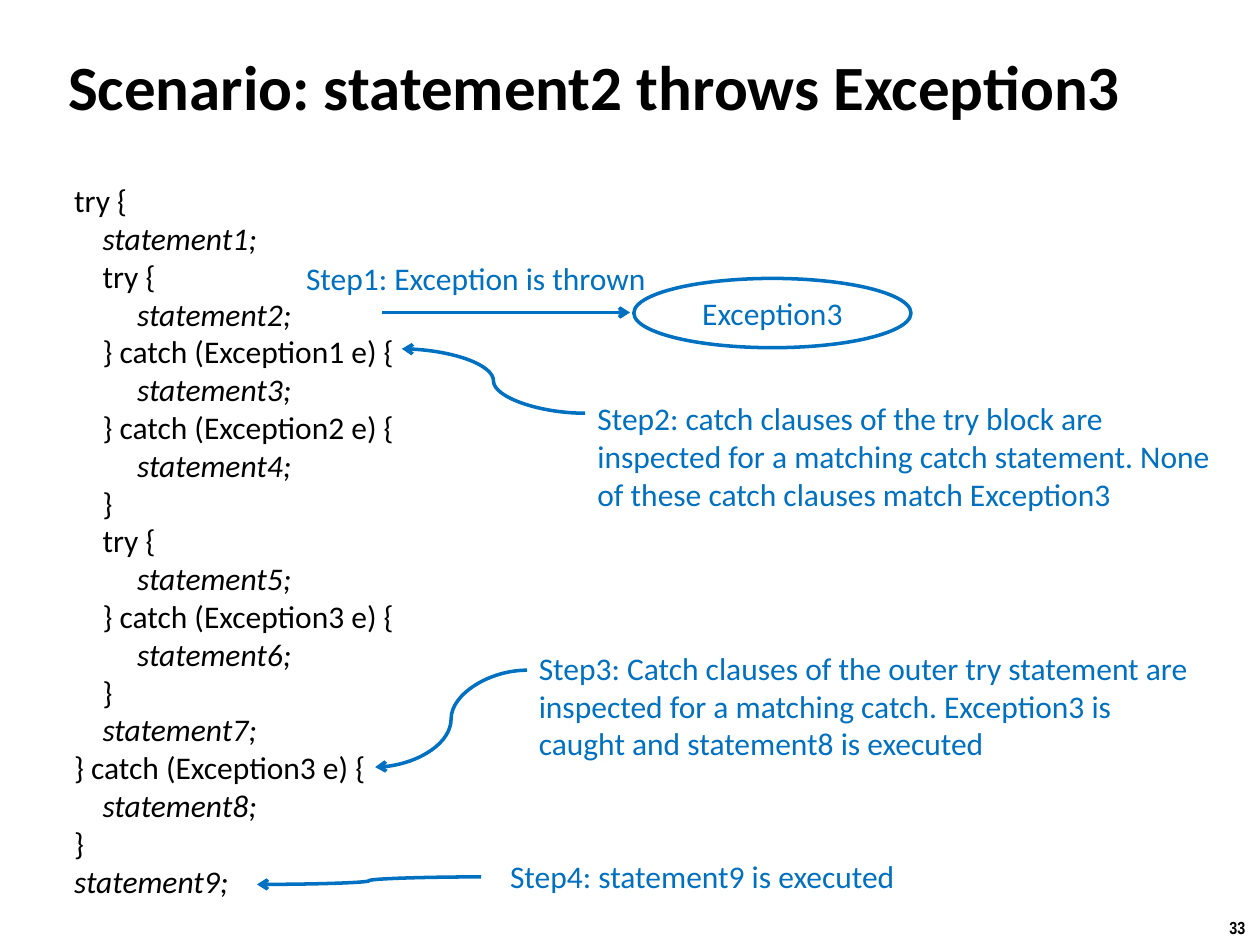
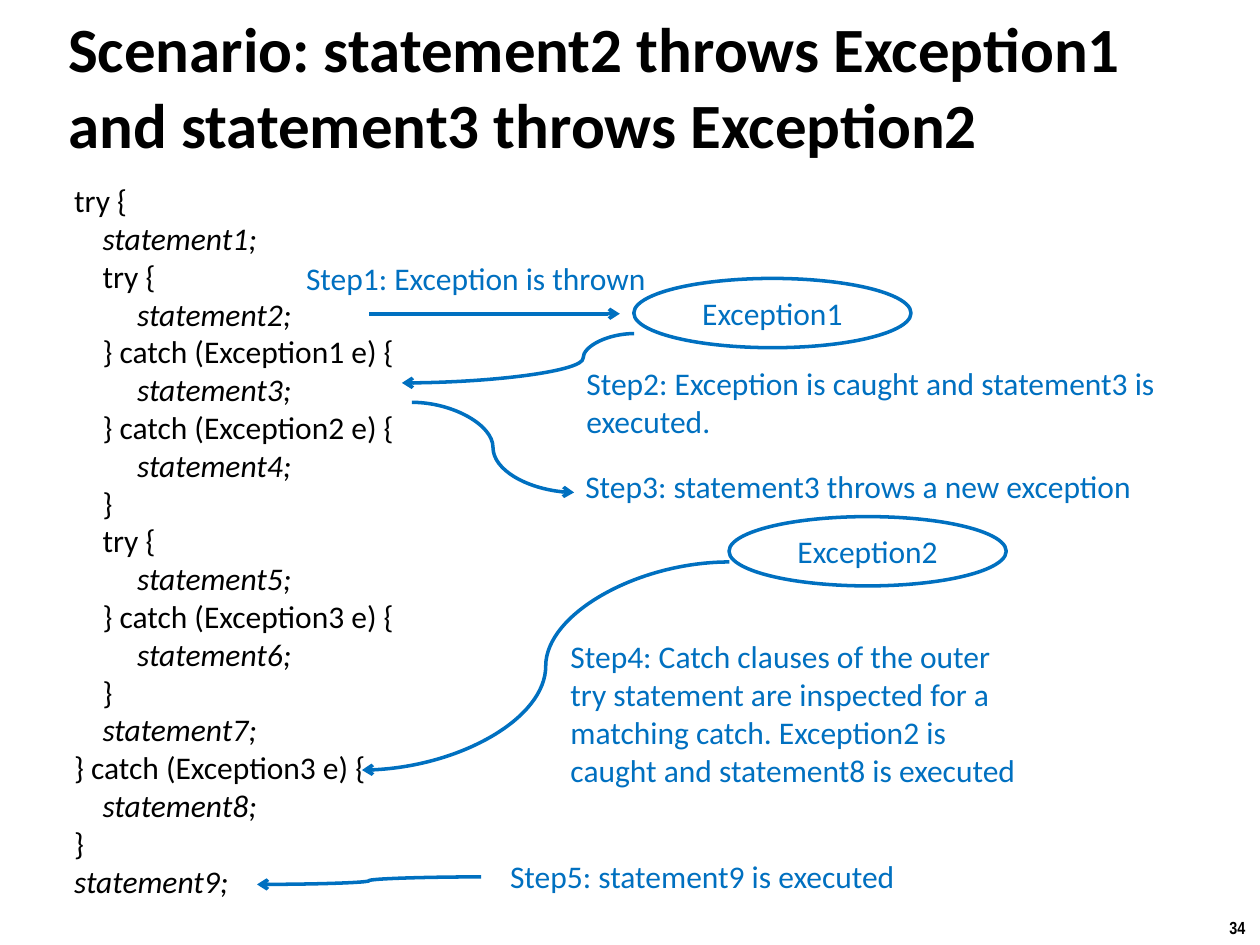
from lxml.etree import SubElement
from pptx import Presentation
from pptx.dml.color import RGBColor
from pptx.enum.shapes import MSO_CONNECTOR, MSO_SHAPE
from pptx.enum.text import MSO_ANCHOR, PP_ALIGN
from pptx.oxml.ns import qn
from pptx.util import Pt

COLORS = {"ink": "000000", "step": "0070C0"}
CODE = """try {
    statement1;
    try {
\tstatement2;
    } catch (Exception1 e) {
\tstatement3;
    } catch (Exception2 e) {
\tstatement4;
    }
    try {
\tstatement5;
    } catch (Exception3 e) {
\tstatement6;
    }
    statement7;
} catch (Exception3 e) {
    statement8;
}
statement9;"""
THROWN = ("Step1: Exception is thrown", 167.8, 144.7, 214.6, 29, False)
OUTER_CATCH = ("Catch clauses of the outer try statement are inspected for a matching catch. "
               "{} is caught and statement8 is executed")
LAST_ARROW = (275, 501.1, 146.9, 505.4, 0.5)

SCENARIOS = [
    {
        "number": "33",
        "title": "Scenario: statement2 throws Exception3",
        "exceptions": [("Exception3", 362.2, 159.1)],
        "throw": (218.2, 178.6, 360),
        "steps": [
            THROWN,
            ("Step2: catch clauses of the try block are inspected for a matching catch "
             "statement. None of these catch clauses match Exception3", 334.3, 224.6, 373.7, 72.7, True),
            ("Step3: " + OUTER_CATCH.format("Exception3"), 300.8, 367.2, 388, 72.7, True),
            ("Step4: statement9 is executed", 284.4, 486.4, 388, 29, True),
        ],
        "curves": [(334.4, 236.2, 229.7, 199.4, 0.5), (301.2, 383, 214.4, 438.4, 0.5), LAST_ARROW],
    },
    {
        "number": "34",
        "title": "Scenario: statement2 throws Exception1 and statement3 throws Exception2",
        "exceptions": [("Exception1", 362.2, 159.1), ("Exception2", 416.6, 295.2)],
        "throw": (210.9, 179.3, 354.2),
        "steps": [
            THROWN,
            ("Step2: Exception is caught and statement3 is executed.", 328, 204.5, 360.7, 51, True),
            ("Step3: statement3 throws a new exception", 327.4, 263.5, 388, 29, True),
            ("Step4: " + OUTER_CATCH.format("Exception2"), 318.9, 360.7, 274.3, 94.3, True),
            ("Step5: statement9 is executed", 284.4, 486.4, 388, 29, True),
        ],
        "curves": [(362.4, 190.6, 229.7, 218.8, 0.22), (235.4, 229.9, 328.1, 281.4, 0.5),
                   (416.9, 321.1, 206.9, 440, 0.5), LAST_ARROW],
    },
]


def write(frame, text, size, color, bold=False, font="Calibri"):
    frame.text = text
    for paragraph in frame.paragraphs:
        for run in paragraph.runs:
            run.font.name = font
            run.font.size = Pt(size)
            run.font.bold = bold
            run.font.color.rgb = RGBColor.from_string(COLORS[color])


def add_arrow(slide, kind, x1, y1, x2, y2):
    arrow = slide.shapes.add_connector(kind, Pt(x1), Pt(y1), Pt(x2), Pt(y2))
    arrow.line.color.rgb = RGBColor.from_string(COLORS["step"])
    arrow.line.width = Pt(2)
    SubElement(arrow.line._get_or_add_ln(), qn("a:tailEnd"), type="arrow")
    SubElement(arrow._element.spPr, qn("a:effectLst"))
    return arrow


prs = Presentation()
prs.slide_width, prs.slide_height = Pt(720), Pt(540)

for scenario in SCENARIOS:
    slide = prs.slides.add_slide(prs.slide_layouts[6])

    page_number = slide.shapes.add_textbox(Pt(695.5), Pt(520.6), Pt(24.5), Pt(19.4)).text_frame
    page_number.word_wrap = False
    write(page_number, scenario["number"], 10, "ink", True, "Arial Narrow")

    title = slide.shapes.add_textbox(Pt(36), Pt(5.8), Pt(654), Pt(85.7)).text_frame
    title.word_wrap = True
    title.vertical_anchor = MSO_ANCHOR.MIDDLE
    title.margin_left = title.margin_right = title.margin_top = title.margin_bottom = Pt(3)
    write(title, scenario["title"], 36, "ink", True)

    code = slide.shapes.add_textbox(Pt(35.3), Pt(100), Pt(284), Pt(422)).text_frame
    code.word_wrap = True
    write(code, CODE, 18, "ink")
    for line in code.paragraphs:
        line.runs[0].font.italic = "statement" in line.text

    for label, left, top in scenario["exceptions"]:
        thrown = slide.shapes.add_shape(MSO_SHAPE.OVAL, Pt(left), Pt(top), Pt(158.4), Pt(39.6))
        thrown.shadow.inherit = False
        thrown.fill.background()
        thrown.line.color.rgb = RGBColor.from_string(COLORS["step"])
        thrown.line.width = Pt(2)
        write(thrown.text_frame, label, 18, "step")
        thrown.text_frame.paragraphs[0].alignment = PP_ALIGN.CENTER

    for text, left, top, width, height, wraps in scenario["steps"]:
        step = slide.shapes.add_textbox(Pt(left), Pt(top), Pt(width), Pt(height)).text_frame
        step.word_wrap = wraps
        write(step, text, 18, "step")

    start, level, end = scenario["throw"]
    add_arrow(slide, MSO_CONNECTOR.STRAIGHT, start, level, end, level)

    for x1, y1, x2, y2, bend in scenario["curves"]:
        curve = add_arrow(slide, MSO_CONNECTOR.CURVE, x1, y1, x2, y2)
        guides = curve._element.spPr.find(qn("a:prstGeom")).get_or_add_avLst()
        SubElement(guides, qn("a:gd"), name="adj1", fmla=f"val {round(bend * 100000)}")

prs.save("out.pptx")
